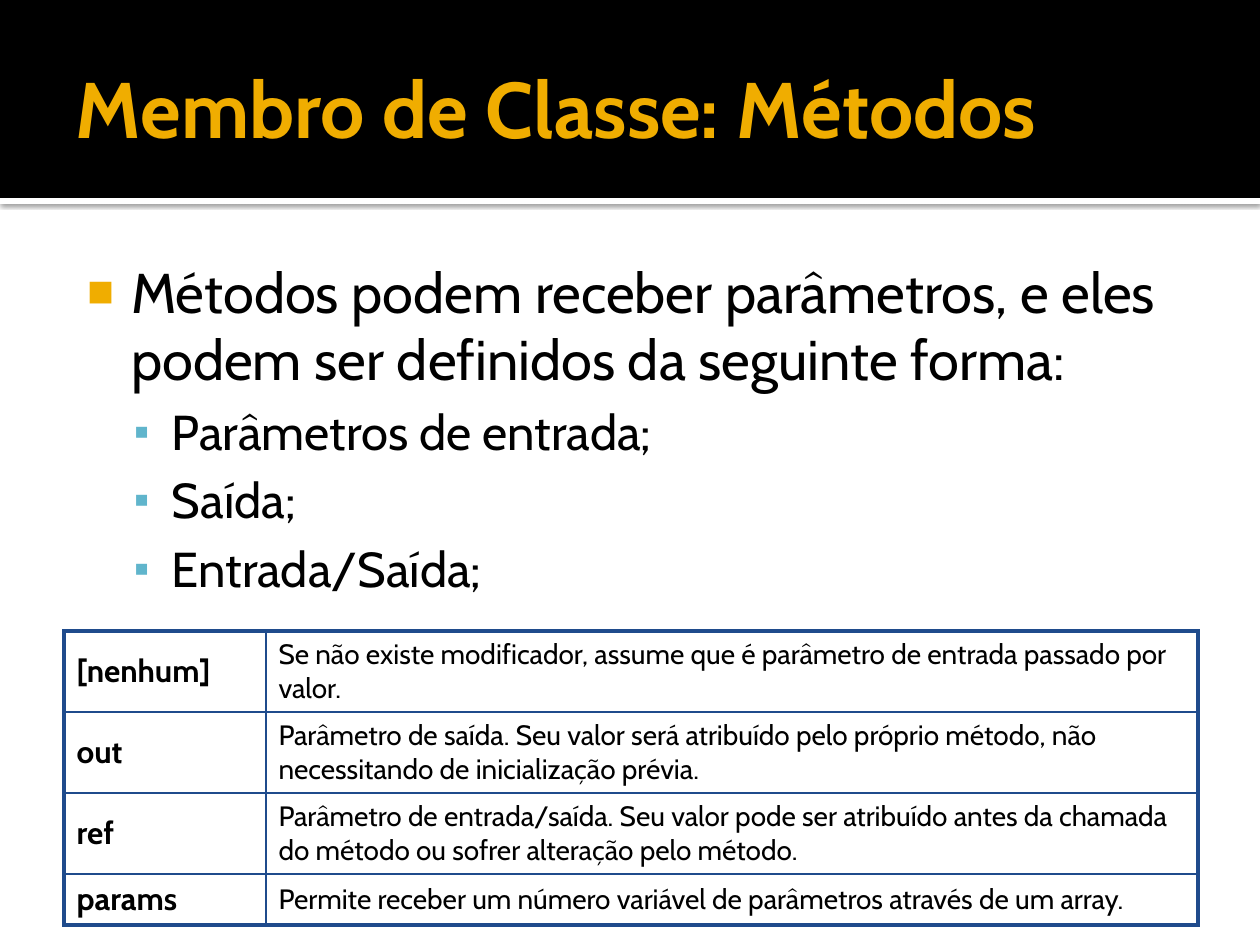
from pptx import Presentation
from pptx.dml.color import RGBColor as RGB
from pptx.enum.shapes import MSO_SHAPE as Shape
from pptx.enum.text import MSO_ANCHOR as Anchor, MSO_AUTO_SIZE as Fit, PP_ALIGN as Align
from pptx.oxml import parse_xml
from pptx.oxml.ns import nsdecls
from pptx.util import Pt

PX = 914400 // 126
FONT = "Cabin"
HUES = {"gold": "F0AD00", "sky": "60B5CC", "navy": "1F4B8C",
        "black": "000000", "white": "FFFFFF"}

TITLE = "Membro de Classe: Métodos"
POINTS = [
    (0, "Métodos podem receber parâmetros, e eles podem ser definidos da seguinte forma:"),
    (1, "Parâmetros de entrada;"),
    (1, "Saída;"),
    (1, "Entrada/Saída;"),
]
# size, bullet, bullet colour, bullet percent, left margin, indent, space before
LEVELS = [
    (32, "■", "gold", 80, 60, -44, 0),
    (28, "▪", "sky", 90, 101, -38, 5.6),
]
ROWS = [
    ("[nenhum]", "Se não existe modificador, assume que é parâmetro de entrada passado por valor."),
    ("out", "Parâmetro de saída. Seu valor será atribuído pelo próprio método, "
            "não necessitando de inicialização prévia."),
    ("ref", "Parâmetro de entrada/saída. Seu valor pode ser atribuído antes da chamada "
            "do método ou sofrer alteração pelo método."),
    ("params", "Permite receber um número variável de parâmetros através de um array."),
]
COLS = [202, 932]
HEIGHTS = [81, 81, 81, 50]
BARS = [("white", 198, 6), ("black", 0, 198)]


def px(*nums):
    """Turn pixels into EMU."""
    return [n * PX for n in nums]


def xml(text):
    """Read a snippet of drawing XML, adding the namespace to its first tag."""
    head, rest = text.split(">", 1)
    end = "/" if head.endswith("/") else ""
    return parse_xml(f"{head.rstrip('/')} {nsdecls('a')}{end}>{rest}")


def style(para, size, hue="black", bold=False):
    """Set the font of a paragraph."""
    font = para.font
    font.name, font.size, font.bold = FONT, Pt(size), bold
    font.color.rgb = RGB.from_string(HUES[hue])


def place(shape, box, pads, anchor):
    """Move a placeholder and set up its text frame."""
    shape.left, shape.top, shape.width, shape.height = px(*box)
    frame = shape.text_frame
    frame.margin_left, frame.margin_top, frame.margin_right, frame.margin_bottom = px(*pads)
    frame.vertical_anchor, frame.auto_size, frame.word_wrap = anchor, Fit.NONE, True
    return frame


def add_bars(slide):
    """Draw the black header and its white, shadowed edge behind the text."""
    for spot, (hue, top, high) in enumerate(BARS, 2):
        bar = slide.shapes.add_shape(Shape.RECTANGLE, *px(0, top, 1260, high))
        bar.fill.solid()
        bar.fill.fore_color.rgb = RGB.from_string(HUES[hue])
        bar.line.fill.background()
        bar.shadow.inherit = False
        if hue == "white":
            effects = bar._element.spPr.find(
                "{http://schemas.openxmlformats.org/drawingml/2006/main}effectLst")
            effects.append(xml(
                f'<a:outerShdw blurRad="{Pt(2.5)}" dist="{Pt(0.8)}" dir="5400000">'
                f'<a:srgbClr val="{HUES["black"]}"><a:alpha val="60000"/></a:srgbClr>'
                '</a:outerShdw>'))
        slide.shapes._spTree.insert(spot, bar._element)


def add_points(frame):
    """Fill the body with its bulleted list."""
    for num, (level, text) in enumerate(POINTS):
        size, mark, hue, part, left, indent, gap = LEVELS[level]
        para = frame.add_paragraph() if num else frame.paragraphs[0]
        para.text, para.level, para.alignment = text, level, Align.LEFT
        para.space_before = Pt(gap)
        props = para._p.get_or_add_pPr()
        props.set("marL", str(left * PX))
        props.set("indent", str(indent * PX))
        for bit in (f'<a:buClr><a:srgbClr val="{HUES[hue]}"/></a:buClr>',
                    f'<a:buSzPct val="{part * 1000}"/>',
                    '<a:buFont typeface="Arial"/>',
                    f'<a:buChar char="{mark}"/>'):
            props.append(xml(bit))
        style(para, size)


def rule(cell, row, col):
    """Rule a cell: thick on the rim of the table, thin inside."""
    rims = {"L": col == 0, "R": col == len(COLS) - 1,
            "T": row == 0, "B": row == len(ROWS) - 1}
    props = cell._tc.get_or_add_tcPr()
    for spot, (side, rim) in enumerate(rims.items()):
        props.insert(spot, xml(
            f'<a:ln{side} w="{Pt(2.25 if rim else 1)}"><a:solidFill>'
            f'<a:srgbClr val="{HUES["navy"]}"/></a:solidFill></a:ln{side}>'))


def add_grid(slide):
    """Add the table of parameter modifiers."""
    box = px(64, 631, sum(COLS), sum(HEIGHTS))
    grid = slide.shapes.add_table(len(ROWS), len(COLS), *box).table
    grid.first_row = grid.horz_banding = False
    for col, wide in enumerate(COLS):
        grid.columns[col].width = wide * PX
    for row, texts in enumerate(ROWS):
        grid.rows[row].height = HEIGHTS[row] * PX
        for col, text in enumerate(texts):
            cell = grid.cell(row, col)
            cell.text, cell.vertical_anchor = text, Anchor.MIDDLE
            cell.fill.solid()
            cell.fill.fore_color.rgb = RGB.from_string(HUES["white"])
            style(cell.text_frame.paragraphs[0], 16 if col else 18, bold=not col)
            rule(cell, row, col)


deck = Presentation()
deck.slide_width, deck.slide_height = px(1260, 945)
slide = deck.slides.add_slide(deck.slide_layouts[1])
title, body = slide.placeholders
add_bars(slide)
head = place(title, (63, 21, 1134, 173), (13, 6, 6, 6), Anchor.MIDDLE)
head.text = TITLE
head.paragraphs[0].alignment = Align.LEFT
style(head.paragraphs[0], 45, "gold", True)
add_points(place(body, (63, 244, 1134, 638), (8, 13, 13, 6), Anchor.TOP))
add_grid(slide)
deck.save("out.pptx")
